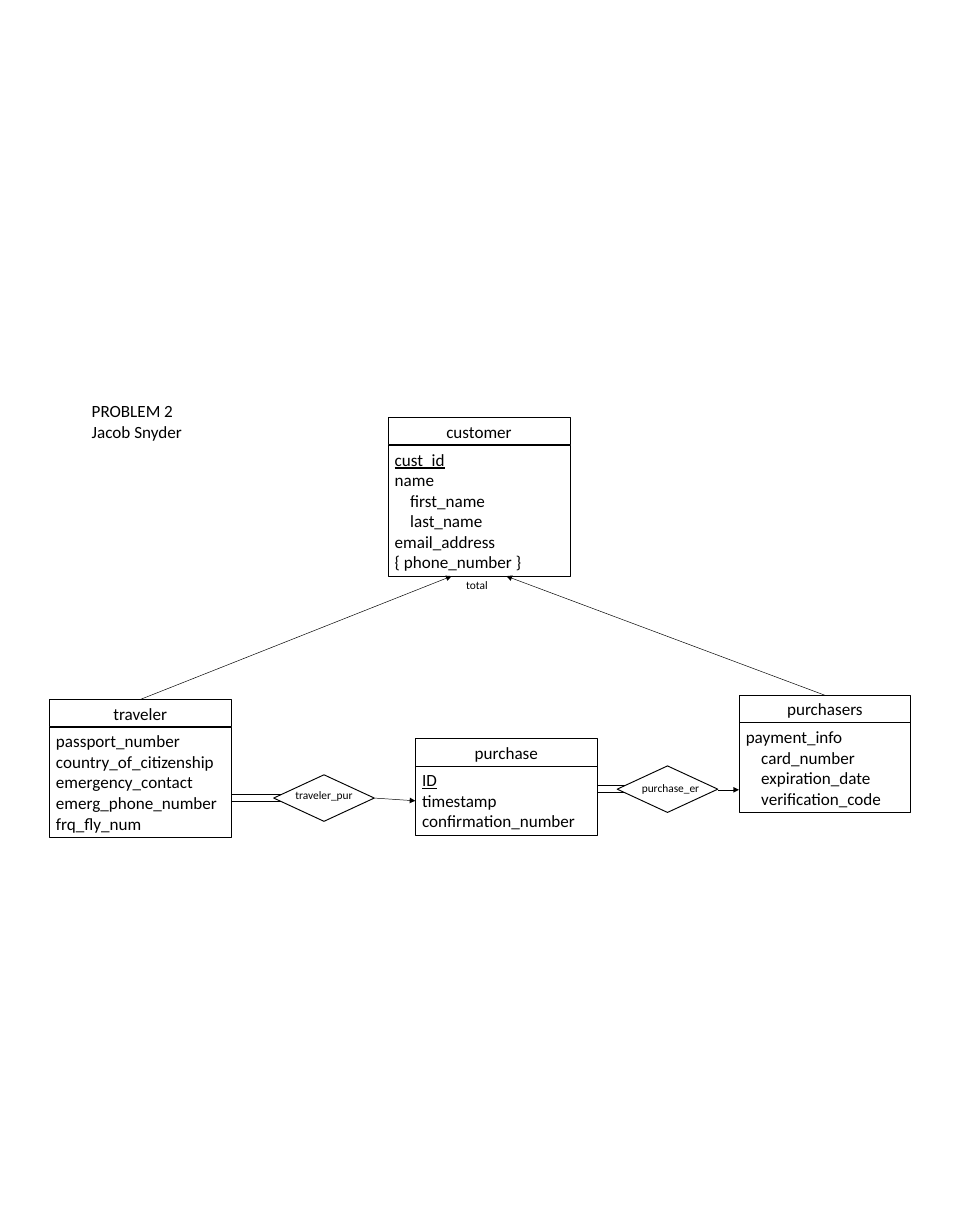
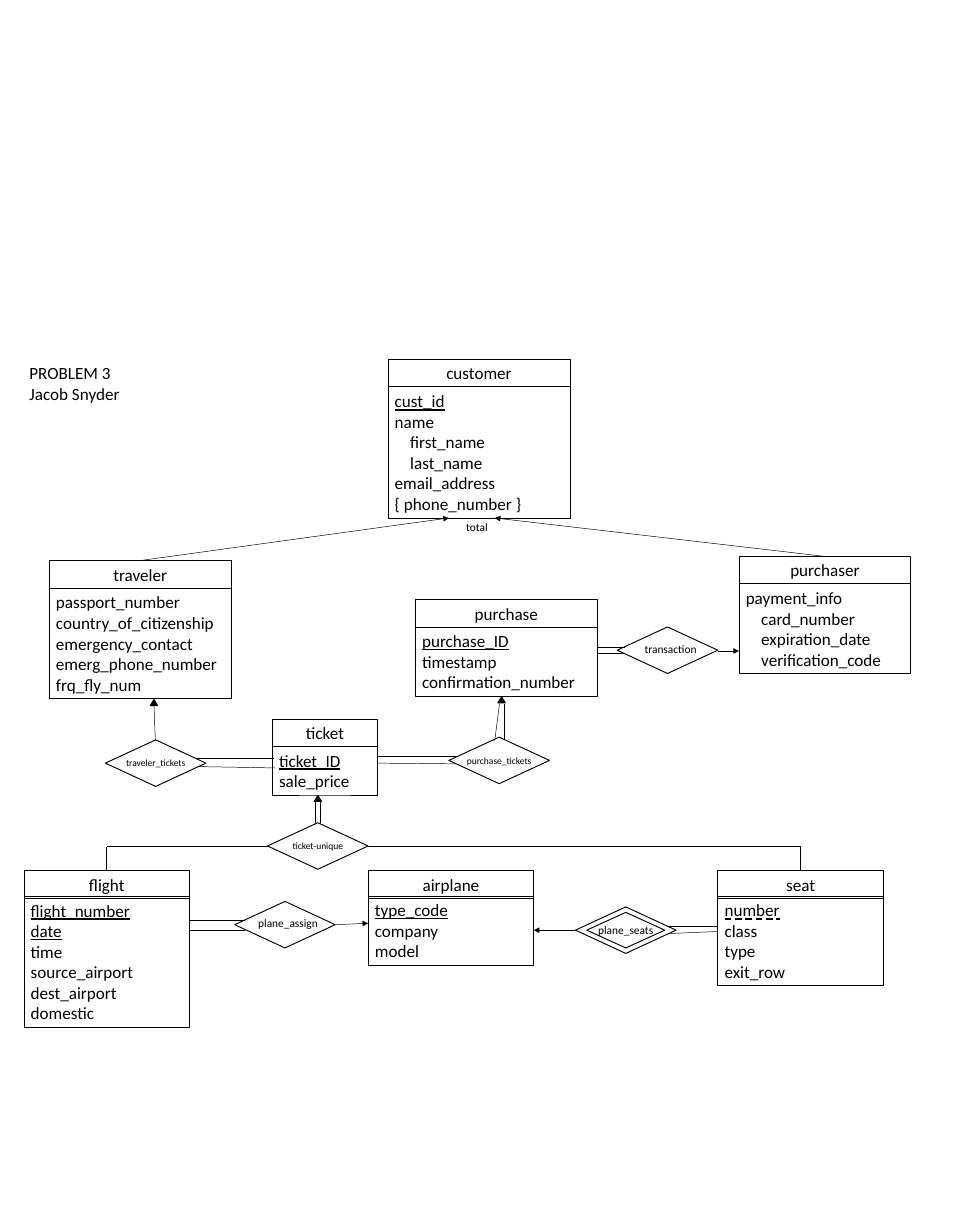
from dataclasses import dataclass
from itertools import pairwise

from lxml import etree
from pptx import Presentation
from pptx.dml.color import RGBColor
from pptx.enum.shapes import MSO_CONNECTOR, MSO_SHAPE
from pptx.enum.text import MSO_ANCHOR, MSO_AUTO_SIZE, MSO_UNDERLINE, PP_ALIGN
from pptx.oxml.ns import qn
from pptx.shapes.autoshape import Shape
from pptx.slide import Slide
from pptx.text.text import _Paragraph as Paragraph
from pptx.util import Emu, Inches, Pt

STRAIGHT = MSO_CONNECTOR.STRAIGHT
RECTANGLE, DIAMOND, TRIANGLE = MSO_SHAPE.RECTANGLE, MSO_SHAPE.DIAMOND, MSO_SHAPE.ISOSCELES_TRIANGLE
TOP, MIDDLE = MSO_ANCHOR.TOP, MSO_ANCHOR.MIDDLE
LEFT, CENTER = PP_ALIGN.LEFT, PP_ALIGN.CENTER
NO_AUTOFIT = MSO_AUTO_SIZE.NONE
DASHED = MSO_UNDERLINE.DASH_LINE

COLUMNS, ROWS = 140, 180
SLIDE_WIDTH, SLIDE_HEIGHT = Inches(14), Inches(18)
CELL = SLIDE_WIDTH / COLUMNS
TITLE_ONLY = 5


@dataclass(frozen=True)
class Theme:
    ink: RGBColor = RGBColor(0, 0, 0)
    font: str = "Calibri"
    text: float = 18
    label: float = 12
    small_label: float = 10
    box_line: float = 0.75
    diamond_line: float = 1
    link_line: float = 0.5


THEME = Theme()

HEADER_ROWS = 4
LINE_ROWS = 3.03
PADDING_ROWS = 1
SUB_INDENT = 2.26
DIAMOND_SIZE = (14.7, 6.8)
INNER_DIAMOND_SIZE = (11.4, 5.2)
LABEL_SIZE = (12.3, 3)
MARKER_SIZE = (1.1, 0.9)


@dataclass(frozen=True)
class Attribute:
    name: str
    underline: bool | MSO_UNDERLINE = False
    sub: bool = False


@dataclass(frozen=True)
class Entity:
    name: str
    left: float
    top: float
    width: float
    attributes: tuple[Attribute, ...]
    overlap: float = 0

    @property
    def body_top(self) -> float:
        return self.top + HEADER_ROWS - self.overlap

    @property
    def body_height(self) -> float:
        return PADDING_ROWS + LINE_ROWS * len(self.attributes)

    @property
    def bottom(self) -> float:
        return self.body_top + self.body_height


@dataclass(frozen=True)
class Relation:
    name: str
    left: float
    top: float
    size: float = THEME.label
    shift_x: float = 0
    shift_y: float = 0
    identifying: bool = False

    @property
    def center(self) -> tuple[float, float]:
        return self.left + DIAMOND_SIZE[0] / 2, self.top + DIAMOND_SIZE[1] / 2


@dataclass(frozen=True)
class Link:
    points: tuple[tuple[float, float], ...]
    arrow: bool = False


@dataclass(frozen=True)
class Note:
    text: str
    center: tuple[float, float]
    size: float = THEME.label


@dataclass(frozen=True)
class Diagram:
    entities: tuple[Entity, ...]
    relations: tuple[Relation, ...]
    links: tuple[Link, ...]
    notes: tuple[Note, ...] = ()
    markers: tuple[tuple[float, float], ...] = ()


def plain(*names: str) -> tuple[Attribute, ...]:
    return tuple(Attribute(name) for name in names)


def keys(*names: str) -> tuple[Attribute, ...]:
    return tuple(Attribute(name, underline=True) for name in names)


def parts(*names: str) -> tuple[Attribute, ...]:
    return tuple(Attribute(name, sub=True) for name in names)


CUSTOMER = (keys("cust_id") + plain("name") + parts("first_name", "last_name")
            + plain("email_address", "{ phone_number }"))
TRAVELER = plain("passport_number", "country_of_citizenship", "emergency_contact",
                 "emerg_phone_number", "frq_fly_num")
PAYER = plain("payment_info") + parts("card_number", "expiration_date", "verification_code")


def cells(count: float) -> Emu:
    return Emu(round(count * CELL))


def place(center: tuple[float, float], size: tuple[float, float]) -> tuple[Emu, ...]:
    corner = (middle - length / 2 for middle, length in zip(center, size))
    return tuple(cells(value) for value in (*corner, *size))


def style_paragraph(paragraph: Paragraph, size: float, align: PP_ALIGN) -> None:
    paragraph.alignment = align
    for run in paragraph.runs:
        run.font.name = THEME.font
        run.font.size = Pt(size)
        run.font.color.rgb = THEME.ink


def add_outline(slide: Slide, kind: MSO_SHAPE, box: tuple[Emu, ...], weight: float,
                filled: bool = False) -> Shape:
    shape = slide.shapes.add_shape(kind, *box)
    shape.shadow.inherit = False
    if filled:
        shape.fill.solid()
        shape.fill.fore_color.rgb = THEME.ink
    else:
        shape.fill.background()
    shape.line.color.rgb = THEME.ink
    shape.line.width = Pt(weight)
    return shape


def add_heading(slide: Slide, text: str, left: float, top: float) -> None:
    title = slide.shapes.title
    title.left, title.top, title.width, title.height = map(cells, (left, top, 15.4, 7.1))
    frame = title.text_frame
    frame.text = text
    frame.word_wrap = False
    frame.auto_size = NO_AUTOFIT
    frame.vertical_anchor = TOP
    for paragraph in frame.paragraphs:
        style_paragraph(paragraph, THEME.text, LEFT)


def add_note(slide: Slide, note: Note) -> None:
    frame = slide.shapes.add_textbox(*place(note.center, LABEL_SIZE)).text_frame
    frame.text = note.text
    frame.word_wrap = False
    frame.vertical_anchor = MIDDLE
    style_paragraph(frame.paragraphs[0], note.size, CENTER)


def add_entity(slide: Slide, entity: Entity) -> None:
    body_box = map(cells, (entity.left, entity.body_top, entity.width, entity.body_height))
    body = add_outline(slide, RECTANGLE, tuple(body_box), THEME.box_line).text_frame
    body.text = "\n".join(attribute.name for attribute in entity.attributes)
    for paragraph, attribute in zip(body.paragraphs, entity.attributes):
        style_paragraph(paragraph, THEME.text, LEFT)
        paragraph.runs[0].font.underline = attribute.underline
        if attribute.sub:
            paragraph.runs[0].font.underline = False
            paragraph._p.get_or_add_pPr().set("marL", str(cells(SUB_INDENT)))
    header_box = map(cells, (entity.left, entity.top, entity.width, HEADER_ROWS))
    header = add_outline(slide, RECTANGLE, tuple(header_box), THEME.box_line).text_frame
    header.text = entity.name
    style_paragraph(header.paragraphs[0], THEME.text, CENTER)


def add_relation(slide: Slide, relation: Relation) -> None:
    sizes = (DIAMOND_SIZE, INNER_DIAMOND_SIZE) if relation.identifying else (DIAMOND_SIZE,)
    for size in sizes:
        add_outline(slide, DIAMOND, place(relation.center, size), THEME.diamond_line)
    x, y = relation.center
    add_note(slide, Note(relation.name, (x + relation.shift_x, y + relation.shift_y), relation.size))


def add_link(slide: Slide, link: Link) -> None:
    for start, end in pairwise(link.points):
        connector = slide.shapes.add_connector(STRAIGHT, *map(cells, (*start, *end)))
        connector.line.color.rgb = THEME.ink
        connector.line.width = Pt(THEME.link_line)
        properties = connector.element.find(qn("p:spPr"))
        if link.arrow:
            etree.SubElement(properties.find(qn("a:ln")), qn("a:tailEnd"), type="triangle")
        etree.SubElement(properties, qn("a:effectLst"))


def add_diagram(slide: Slide, diagram: Diagram) -> None:
    for entity in diagram.entities:
        add_entity(slide, entity)
    for relation in diagram.relations:
        add_relation(slide, relation)
    for link in diagram.links:
        add_link(slide, link)
    for note in diagram.notes:
        add_note(slide, note)
    for x, top in diagram.markers:
        center = (x, top + MARKER_SIZE[1] / 2)
        add_outline(slide, TRIANGLE, place(center, MARKER_SIZE), THEME.diamond_line, filled=True)


def purchasing(customer_top: float, row: float, payer: str, purchase_key: str,
               sale: str, isa_ends: tuple[float, float]) -> Diagram:
    customer = Entity("customer", 56.7, customer_top, 26.6, CUSTOMER)
    traveler = Entity("traveler", 7.2, row + 0.6, 26.6, TRAVELER)
    purchase = Entity("purchase", 60.7, row + 6.3, 26.6,
                      keys(purchase_key) + plain("timestamp", "confirmation_number"))
    purchaser = Entity(payer, 108, row, 25.1, PAYER)
    return Diagram(
        (customer, traveler, purchase, purchaser),
        (Relation(sale, 90.2, row + 10.3, shift_x=0.45, shift_y=-0.2),),
        (Link(((20.5, traveler.top), (isa_ends[0], customer.bottom)), True),
         Link(((120.6, purchaser.top), (isa_ends[1], customer.bottom)), True),
         Link(((104.9, row + 13.8), (108, row + 13.8)), True),
         *(Link(((87.3, row + y), (91.3, row + y))) for y in (13.2, 14.2))),
        (Note("total", (69.7, customer.bottom + 1.3)),))


def ticketing() -> Diagram:
    weak = 0.3
    small = THEME.small_label
    return Diagram(
        (Entity("ticket", 39.8, 105.1, 15.4, keys("ticket_ID") + plain("sale_price")),
         Entity("flight", 3.5, 127.2, 24.2, keys("flight_number", "date")
                + plain("time", "source_airport", "dest_airport", "domestic"), weak),
         Entity("airplane", 53.8, 127.2, 24.2, keys("type_code") + plain("company", "model"), weak),
         Entity("seat", 104.9, 127.2, 24.2, (Attribute("number", DASHED),)
                + plain("class", "type", "exit_row"), weak)),
        (Relation("plane_seats", 84.1, 132.5, identifying=True),
         Relation("plane_assign", 34.3, 131.7, shift_x=0.45, shift_y=-0.2),
         Relation("purchase_tickets", 65.6, 107.7, small),
         Relation("traveler_tickets", 15.4, 108.1, small),
         Relation("ticket-unique", 39.1, 120.2, small)),
        (Link(((97.7, 135.4), (104.9, 135.4))),
         Link(((97.7, 136.4), (104.9, 136.1))),
         Link(((84.1, 135.9), (78, 135.9)), True),
         *(Link(((27.7, y), (35.8, y))) for y in (134.4, 135.9)),
         Link(((49, 135.1), (53.8, 134.9)), True),
         Link(((55.2, 111.5), (66.6, 111.6))),
         Link(((55.2, 110.5), (66.6, 110.5))),
         Link(((28.9, 112), (40.2, 112.2))),
         Link(((28.7, 110.8), (40.1, 110.8))),
         *(Link(((x, 120.3), (x, 117.2))) for x in (46.1, 46.8)),
         Link(((39.1, 123.7), (15.6, 123.7), (15.6, 127.2))),
         Link(((53.8, 123.7), (117, 123.7), (117, 127.2))),
         Link(((22.7, 108.1), (22.5, 103.1))),
         Link(((72.3, 108.2), (73, 102.8))),
         Link(((73.7, 108.1), (73.7, 102.8)))),
        markers=((46.45, 116.2), (22.5, 102.2), (73.3, 101.8)))


def main() -> None:
    deck = Presentation()
    deck.slide_width, deck.slide_height = SLIDE_WIDTH, SLIDE_HEIGHT
    pages = (
        ("PROBLEM 2\nJacob Snyder", 12.4, 58,
         (purchasing(61, 101.6, "purchasers", "ID", "purchase_er", (66, 74)),
          Diagram((), (Relation("traveler_pur", 40, 113.2, shift_y=-0.4),),
                  (Link(((54.7, 116.6), (60.7, 117)), True),
                   *(Link(((33.8, y), (41, y))) for y in (116.1, 117.1)))))),
        ("PROBLEM 3\nJacob Snyder", 3.3, 52.5,
         (purchasing(52.5, 81.3, "purchaser", "purchase_ID", "transaction", (65.6, 72.3)),
          ticketing())))
    for heading, left, top, diagrams in pages:
        slide = deck.slides.add_slide(deck.slide_layouts[TITLE_ONLY])
        add_heading(slide, heading, left, top)
        for diagram in diagrams:
            add_diagram(slide, diagram)
    deck.save("out.pptx")


if __name__ == "__main__":
    main()
